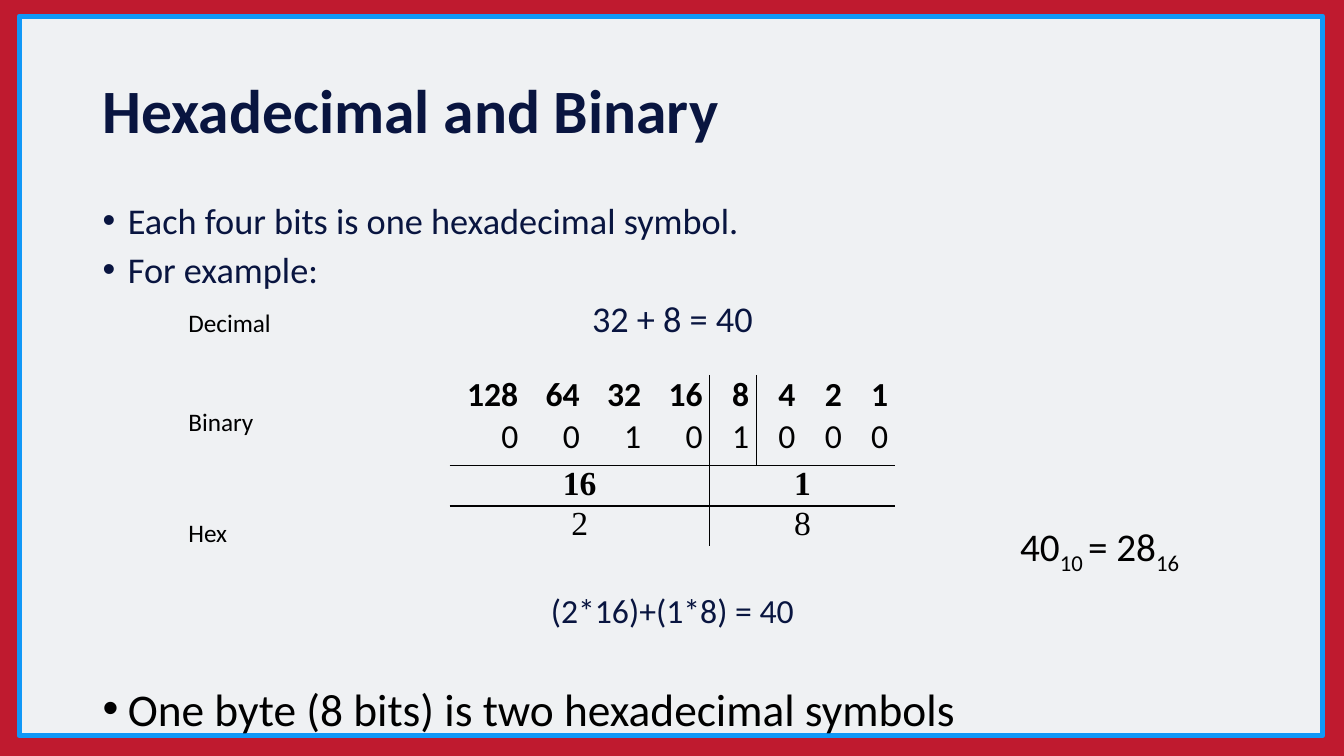
from dataclasses import dataclass

from lxml import etree
from pptx import Presentation
from pptx.dml.color import RGBColor
from pptx.enum import shapes, text
from pptx.oxml import ns
from pptx.util import Inches, Pt


@dataclass(frozen=True)
class Theme:
    frame: RGBColor = RGBColor.from_string("BF1A2F")
    panel: RGBColor = RGBColor.from_string("EFF1F3")
    edge: RGBColor = RGBColor.from_string("1098F7")
    navy: RGBColor = RGBColor.from_string("091540")
    black: RGBColor = RGBColor.from_string("000000")
    sans: str = "Calibri"
    serif: str = "Times New Roman"
    title: float = 44
    body: float = 25.9
    formula: float = 24.1
    closing: float = 32.4
    digits: float = 24
    label: float = 18
    result: float = 28


theme = Theme()
LEFT, CENTER, RIGHT = text.PP_ALIGN.LEFT, text.PP_ALIGN.CENTER, text.PP_ALIGN.RIGHT


def style(paragraph, size, color, bold=False, face=theme.sans, align=LEFT):
    paragraph.font.size = Pt(size)
    paragraph.font.color.rgb = color
    paragraph.font.bold = bold
    paragraph.font.name = face
    paragraph.alignment = align


def add_lines(box, lines, size, color, spacing=1.0, **font):
    """Add a text box from (content, bulleted, alignment) lines."""
    frame = slide.shapes.add_textbox(*(Inches(v) for v in box)).text_frame
    frame.word_wrap = True
    for number, (content, bulleted, align) in enumerate(lines):
        paragraph = frame.paragraphs[0] if number == 0 else frame.add_paragraph()
        paragraph.text = content
        paragraph.line_spacing = spacing
        if number:
            paragraph.space_before = Pt(10)
        style(paragraph, size, color, align=align, **font)
        if bulleted:
            properties = paragraph._p.get_or_add_pPr()
            properties.set("marL", str(Inches(0.25)))
            properties.set("indent", str(-Inches(0.25)))
            etree.SubElement(properties, ns.qn("a:buFont")).set("typeface", "Arial")
            etree.SubElement(properties, ns.qn("a:buChar")).set("char", "•")
    return frame


deck = Presentation()
deck.slide_width, deck.slide_height = Inches(13.33), Inches(7.5)
slide = deck.slides.add_slide(deck.slide_layouts[6])
slide.background.fill.solid()
slide.background.fill.fore_color.rgb = theme.frame

panel = slide.shapes.add_shape(
    shapes.MSO_SHAPE.RECTANGLE, Inches(0.19), Inches(0.16), Inches(12.93), Inches(7.14))
panel.shadow.inherit = False
panel.fill.solid()
panel.fill.fore_color.rgb = theme.panel
panel.line.color.rgb = theme.edge
panel.line.width = Pt(3.5)

# Title and body text
title = add_lines((0.92, 0.4, 11.5, 1.45), [("Hexadecimal and Binary", False, LEFT)],
                  theme.title, theme.navy, spacing=0.9, bold=True)
title.vertical_anchor = text.MSO_ANCHOR.MIDDLE
add_lines((0.92, 2, 11.5, 1.45),
          [("Each four bits is one hexadecimal symbol.", True, LEFT),
           ("For example:", True, LEFT),
           ("32 + 8 = 40", False, CENTER)],
          theme.body, theme.navy, spacing=0.8)
add_lines((0.92, 5.88, 11.5, 0.45), [("(2*16)+(1*8) = 40", False, CENTER)],
          theme.formula, theme.navy, spacing=0.8)
add_lines((0.92, 6.81, 11.5, 0.55),
          [("One byte (8 bits) is two hexadecimal symbols", True, LEFT)],
          theme.closing, theme.black, spacing=0.8)

# Place values: binary digits above, hexadecimal digits below
bits = [["128", "64", "32", "16", "8", "4", "2", "1"], list("00101000")]
hex_digits = [["16", "1"], ["2", "8"]]
column_widths = [0.75] + [0.61] * 3 + [0.46] * 4
row_heights = [0.41, 0.49, 0.38, 0.37]
places = slide.shapes.add_table(
    4, 8, Inches(4.46), Inches(3.72), Inches(4.41), Inches(1.65)).table
places.first_row = places.horz_banding = False
for column, width in zip(places.columns, column_widths):
    column.width = Inches(width)
for row, height in zip(places.rows, row_heights):
    row.height = Inches(height)

for r in range(4):
    binary = r < 2
    for c in range(8):
        cell = places.cell(r, c)
        cell.margin_left = cell.margin_right = Inches(0.07)
        cell.margin_top = cell.margin_bottom = 0
        drawn = {"a:lnL": c == 4 or (binary and c == 5),
                 "a:lnR": c == 3 or (binary and c == 4),
                 "a:lnT": r in (2, 3),
                 "a:lnB": r in (1, 2)}
        for side, visible in drawn.items():
            line = etree.SubElement(cell._tc.get_or_add_tcPr(), ns.qn(side), w=str(Pt(1)))
            if visible:
                fill = etree.SubElement(line, ns.qn("a:solidFill"))
                etree.SubElement(fill, ns.qn("a:srgbClr"), val=str(theme.black))
            else:
                etree.SubElement(line, ns.qn("a:noFill"))
        cell.fill.background()
        paragraph = cell.text_frame.paragraphs[0]
        if binary:
            paragraph.text = bits[r][c]
        elif c % 4 == 0:
            cell.merge(places.cell(r, c + 3))
            paragraph.text = hex_digits[r - 2][c // 4]
        style(paragraph, theme.digits, theme.black, bold=r % 2 == 0,
              face=theme.sans if binary else theme.serif,
              align=RIGHT if binary else CENTER)

# Row labels and result
for label, top in [("Decimal", 3), ("Binary", 3.98), ("Hex", 5.08)]:
    add_lines((1.77, top, 2.2, 0.4), [(label, False, LEFT)], theme.label, theme.black)

result = add_lines((10.02, 5.13, 2.2, 0.57), [("", False, LEFT)],
                   theme.result, theme.black).paragraphs[0]
for part, subscript in [("40", False), ("10 ", True), ("= 28", False), ("16", True)]:
    run = result.add_run()
    run.text = part
    if subscript:
        run.font._element.set("baseline", "-25000")

deck.save("out.pptx")
